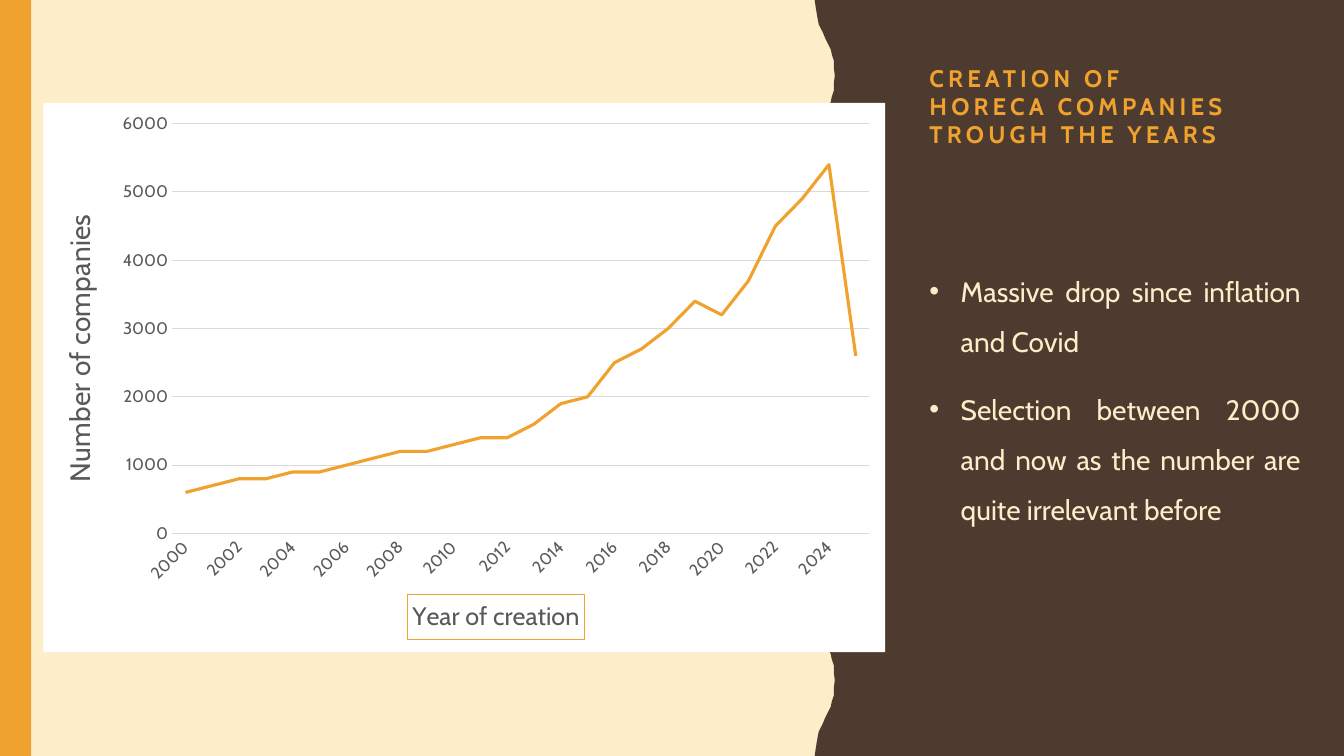
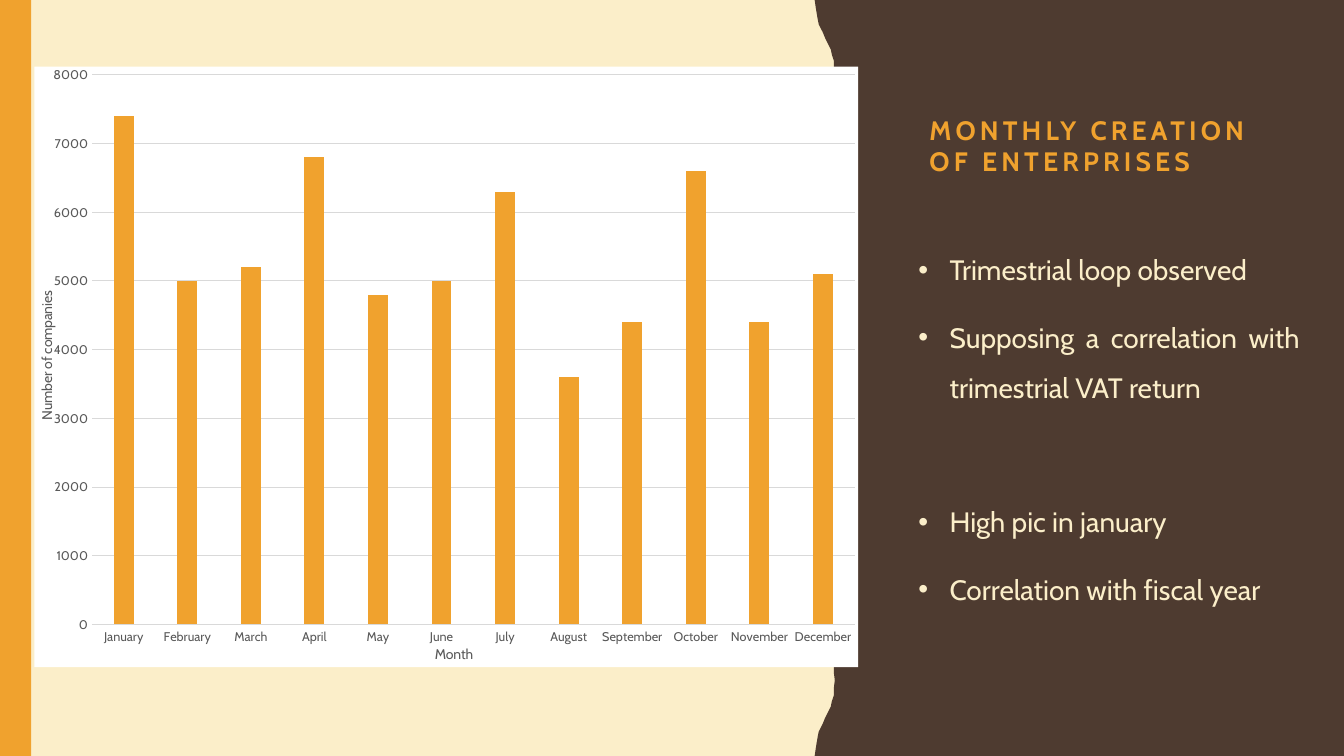
from lxml import etree
from pptx import Presentation, util as u
from pptx.chart import data as cd
from pptx.dml import color as dc
from pptx.enum import chart as ch, shapes as sh, text as tx
from pptx.oxml import parse_xml
from pptx.oxml.ns import qn

# Shared look
FONT = "Cabin"
CREAM, BROWN, GOLD = "FBEEC9", "4E3B30", "F0A22E"
WHITE, GRAY, RULE = "FFFFFF", "595959", "D9D9D9"
WIDE, HIGH = 13.33, 7.5
NS = ('xmlns:c="http://schemas.openxmlformats.org/drawingml/2006/chart" '
      'xmlns:a="http://schemas.openxmlformats.org/drawingml/2006/main"')


def paint(fill, color):
    fill.solid()
    fill.fore_color.rgb = dc.RGBColor.from_string(color)


def write(slide, lines, at, size, color, bold=False, track=0, lead=1.0,
          before=0, bullet=False, anchor="MIDDLE", foot=0.05):
    """Each line is a text, or a pair of text and its space before."""
    frame = slide.shapes.add_textbox(*map(u.Inches, at)).text_frame
    frame.word_wrap = True
    frame.vertical_anchor = tx.MSO_ANCHOR[anchor]
    frame.margin_bottom = u.Inches(foot)
    for i, line in enumerate(lines):
        words, gap = line if isinstance(line, tuple) else (line, before)
        para = frame.add_paragraph() if i else frame.paragraphs[0]
        para.line_spacing = lead
        para.space_before = u.Pt(gap)
        run = para.add_run()
        run.text = words
        run.font.name, run.font.size, run.font.bold = FONT, u.Pt(size), bold
        paint(run.font.fill, color)
        if track:
            run.font._element.set("spc", str(track * 100))
        if bullet:
            para.alignment = tx.PP_ALIGN.JUSTIFY
            props = para._p.get_or_add_pPr()
            props.set("marL", str(u.Inches(0.31)))
            props.set("indent", str(-u.Inches(0.31)))
            tone = etree.SubElement(props, qn("a:buClr"))
            etree.SubElement(tone, qn("a:srgbClr")).set("val", color)
            etree.SubElement(props, qn("a:buFont")).set("typeface", "Arial")
            etree.SubElement(props, qn("a:buChar")).set("char", "•")


# Wavy edge: half a wave, mirrored, then repeated down the slide
half = [(0, 0), (0.01, 0.07), (0.02, 0.13), (0.03, 0.19), (0.04, 0.24),
        (0.06, 0.28), (0.08, 0.32), (0.1, 0.37), (0.12, 0.41), (0.14, 0.45),
        (0.16, 0.49), (0.17, 0.54), (0.19, 0.6), (0.19, 0.67), (0.2, 0.75)]
wave = half + [(x, 1.5 - y) for x, y in half[-2:0:-1]]
edge = [(8.08 + x, 1.5 * n + y) for n in range(5) for x, y in wave]
edge += [(8.08, HIGH), (WIDE, HIGH), (WIDE, 0)]

# Content of the slides
pages = [
    dict(title="CREATION OF HORECA COMPANIES TROUGH THE YEARS",
         size=17.1, title_foot=0.33,
         notes=["Massive drop since inflation and Covid",
                "Selection between 2000 and now as the number are quite "
                "irrelevant before"],
         body=(9.12, 1.9, 3.88, 4.55), body_foot=0.62,
         kind="LINE", at=(0.43, 1.02, 8.35, 5.45),
         plot=(0.153, 0.038, 0.828, 0.746), top=6000, tick=12,
         names=[("Year of creation", 18, GOLD),
                ("Number of companies", 20, None)],
         cats=[str(y) for y in range(2000, 2026)],
         vals=[600, 700, 800, 800, 900, 900, 1000, 1100, 1200, 1200, 1300,
               1400, 1400, 1600, 1900, 2000, 2500, 2700, 3000, 3400, 3200,
               3700, 4500, 4900, 5400, 2600]),
    dict(title="MONTHLY CREATION OF ENTERPRISES",
         size=19, title_foot=0.05,
         notes=["Trimestrial loop observed",
                "Supposing a correlation with trimestrial VAT return",
                ("High pic in january", 60),
                "Correlation with fiscal year"],
         body=(9.01, 1.9, 3.98, 4.55), body_foot=0.05,
         kind="COLUMN_CLUSTERED", at=(0.34, 0.66, 8.17, 5.96),
         plot=(0.07, 0.014, 0.926, 0.915), top=8000, tick=9,
         names=[("Month", 10, None), ("Number of companies", 10, None)],
         cats=["January", "February", "March", "April", "May", "June", "July",
               "August", "September", "October", "November", "December"],
         vals=[7400, 5000, 5200, 6800, 4800, 5000, 6300, 3600, 4400, 6600,
               4400, 5100]),
]

prs = Presentation()
prs.slide_width, prs.slide_height = u.Inches(WIDE), u.Inches(HIGH)

for page in pages:
    slide = prs.slides.add_slide(prs.slide_layouts[6])

    # Backdrop
    paint(slide.background.fill, CREAM)
    points = [(u.Inches(x), u.Inches(y)) for x, y in edge]
    pen = slide.shapes.build_freeform(*points[0])
    pen.add_line_segments(points[1:], close=True)
    panel = pen.convert_to_shape()
    band = slide.shapes.add_shape(sh.MSO_SHAPE.RECTANGLE, 0, 0,
                                  u.Inches(0.31), u.Inches(HIGH))
    for shape, color in (panel, BROWN), (band, GOLD):
        shape.shadow.inherit = False
        paint(shape.fill, color)
        shape.line.fill.background()

    # Title and notes
    write(slide, [page["title"]], (9.12, 0.5, 3.38, 1.31), page["size"], GOLD,
          bold=True, track=3, lead=0.97, anchor="BOTTOM",
          foot=page["title_foot"])
    write(slide, page["notes"], page["body"], 20, CREAM, lead=1.5, before=12,
          bullet=True, foot=page["body_foot"])

    # Chart
    data = cd.CategoryChartData()
    data.categories = page["cats"]
    data.add_series("Series 1", page["vals"])
    chart = slide.shapes.add_chart(ch.XL_CHART_TYPE[page["kind"]],
                                   *map(u.Inches, page["at"]), data).chart
    chart.has_legend = chart.has_title = False
    chart.font.name, chart.font.size = FONT, u.Pt(10)
    plot = chart.plots[0]
    plot.vary_by_categories = False
    series = plot.series[0]
    if page["kind"] == "LINE":
        series.smooth = False
        series.marker.style = ch.XL_MARKER_STYLE.NONE
        series.format.line.width = u.Pt(2.25)
        paint(series.format.line.fill, GOLD)
    else:
        plot.gap_width, plot.overlap = 219, -27
        paint(series.format.fill, GOLD)

    # Axes
    cat, val = chart.category_axis, chart.value_axis
    for axis, (name, size, frame) in zip((cat, val), page["names"]):
        axis.major_tick_mark = axis.minor_tick_mark = ch.XL_TICK_MARK.NONE
        axis.tick_labels.font.name = FONT
        axis.tick_labels.font.size = u.Pt(page["tick"])
        paint(axis.tick_labels.font.fill, GRAY)
        label = axis.axis_title
        label.text_frame.text = name
        font = label.text_frame.paragraphs[0].runs[0].font
        font.name, font.size, font.bold = FONT, u.Pt(size), False
        paint(font.fill, GRAY)
        if frame:
            label.format.line.width = u.Pt(0.75)
            paint(label.format.line.fill, frame)
    turn = val.axis_title.text_frame._txBody.find(qn("a:bodyPr"))
    turn.set("rot", "-5400000")
    turn.set("vert", "horz")
    cat._element.find(qn("c:txPr")).find(qn("a:bodyPr")).set("rot", "-60000000")
    val.minimum_scale, val.maximum_scale, val.major_unit = 0, page["top"], 1000
    val.format.line.fill.background()
    for line in cat.format.line, val.major_gridlines.format.line:
        line.width = u.Pt(0.75)
        paint(line.fill, RULE)

    # White chart ground and fixed plot area
    root = chart._chartSpace.find(qn("c:chart"))
    root.addnext(parse_xml(
        f'<c:spPr {NS}><a:solidFill><a:srgbClr val="{WHITE}"/></a:solidFill>'
        '<a:ln><a:noFill/></a:ln></c:spPr>'))
    area = root.find(qn("c:plotArea"))
    for old in area.findall(qn("c:layout")):
        area.remove(old)
    spots = "".join(f'<c:{k} val="{v}"/>' for k, v in zip("xywh", page["plot"]))
    area.insert(0, parse_xml(
        f'<c:layout {NS}><c:manualLayout><c:layoutTarget val="inner"/>'
        f'<c:xMode val="edge"/><c:yMode val="edge"/>{spots}'
        '</c:manualLayout></c:layout>'))

prs.save("out.pptx")
